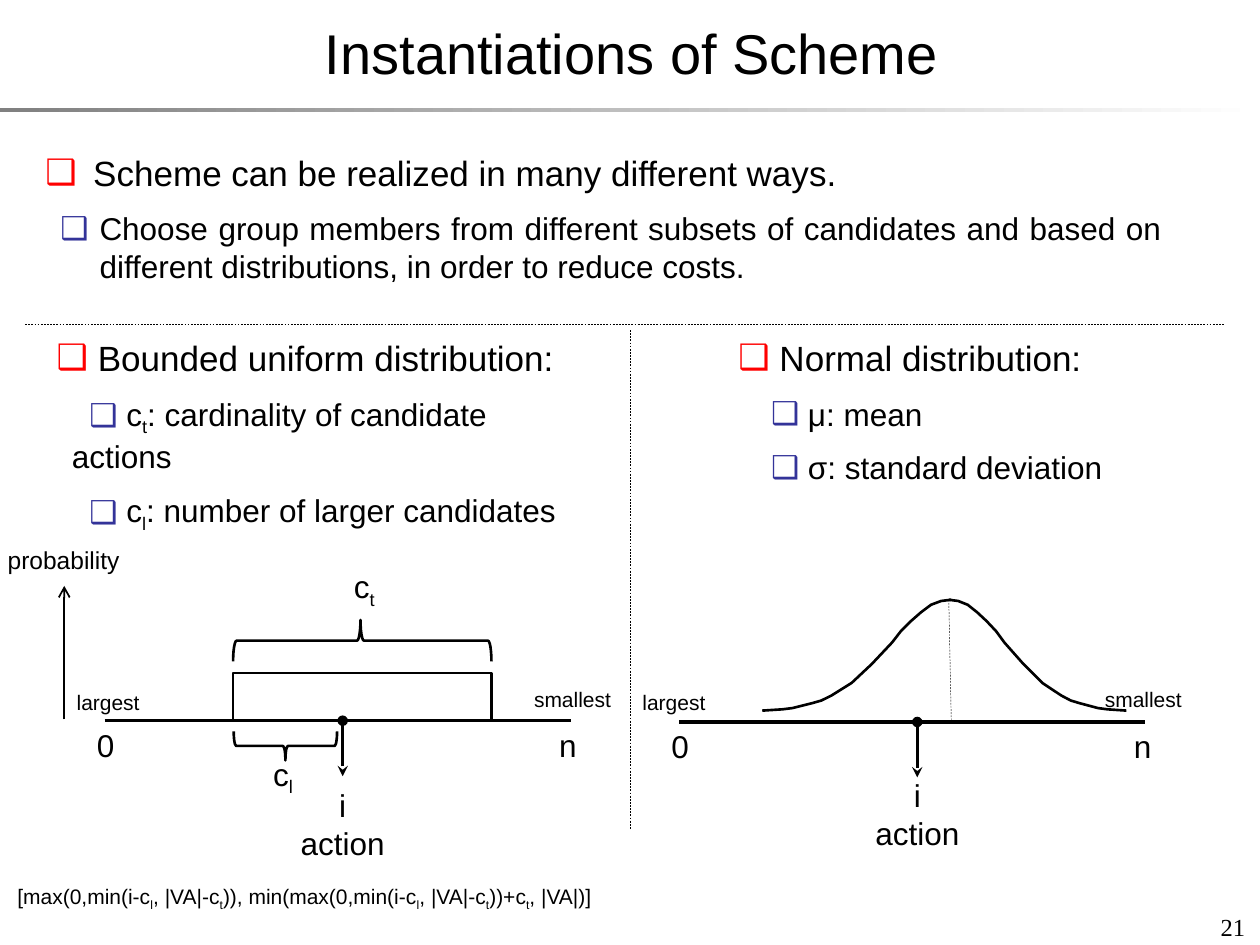
from lxml import etree
from pptx import Presentation
from pptx.dml.color import RGBColor
from pptx.enum.dml import MSO_LINE
from pptx.enum.shapes import MSO_CONNECTOR, MSO_SHAPE
from pptx.enum.text import MSO_ANCHOR, MSO_AUTO_SIZE, PP_ALIGN
from pptx.oxml.ns import qn
from pptx.util import Inches, Pt

LEFT, CENTER, RIGHT, JUSTIFY = PP_ALIGN.LEFT, PP_ALIGN.CENTER, PP_ALIGN.RIGHT, PP_ALIGN.JUSTIFY
TOP, MIDDLE = MSO_ANCHOR.TOP, MSO_ANCHOR.MIDDLE
STRAIGHT, DASH = MSO_CONNECTOR.STRAIGHT, MSO_LINE.DASH
RECTANGLE, LEFT_BRACE = MSO_SHAPE.RECTANGLE, MSO_SHAPE.LEFT_BRACE
BLACK, RED, BLUE = "000000", "FF0000", "333399"

# Left half of the bell curve, from its foot to its peak
BELL = [(6.05, 5.64), (6.21, 5.63), (6.29, 5.62), (6.37, 5.6), (6.45, 5.58), (6.52, 5.56),
        (6.6, 5.52), (6.76, 5.42), (6.92, 5.27), (7.08, 5.1), (7.15, 5.01), (7.23, 4.93),
        (7.31, 4.86), (7.39, 4.8), (7.47, 4.77), (7.55, 4.76)]


def color(value):
    return RGBColor.from_string(value)


def place(shape, left, top, width, height):
    shape.left, shape.top = Inches(left), Inches(top)
    shape.width, shape.height = Inches(width), Inches(height)


def add_runs(paragraph, text, size, font="Arial"):
    """Add text run by run; the letter after each underscore is a subscript."""
    first, *rest = text.split("_")
    pieces = [(first, False)]
    for part in rest:
        pieces += [(part[0], True), (part[1:], False)]
    for piece, subscript in pieces:
        if not piece:
            continue
        run = paragraph.add_run()
        run.text = piece
        run.font.size, run.font.name, run.font.bold = Pt(size), font, False
        run.font.color.rgb = color(BLACK)
        if subscript:
            run._r.get_or_add_rPr().set("baseline", "-25000")


def add_label(slide, box, lines, size, align=LEFT, wrap=False, anchor=TOP, font="Arial"):
    shape = slide.shapes.add_textbox(*map(Inches, box))
    frame = shape.text_frame
    frame.word_wrap, frame.vertical_anchor = wrap, anchor
    for index, line in enumerate(lines):
        paragraph = frame.add_paragraph() if index else frame.paragraphs[0]
        paragraph.alignment = align
        add_runs(paragraph, line, size, font)


def set_bullet(paragraph, bullet_color, margin, indent):
    properties = paragraph._p.get_or_add_pPr()
    properties.set("marL", str(Inches(margin)))
    properties.set("indent", str(Inches(indent)))
    fill = etree.SubElement(properties, qn("a:buClr"))
    etree.SubElement(fill, qn("a:srgbClr"), val=bullet_color)
    etree.SubElement(properties, qn("a:buChar"), char="❑")


def fill_list(placeholder, box, heading, items, heading_indent, item_indent, align=LEFT):
    place(placeholder, *box)
    frame = placeholder.text_frame
    frame.auto_size, frame.word_wrap = MSO_AUTO_SIZE.NONE, True
    frame.vertical_anchor = TOP
    for index, text in enumerate([heading, *items]):
        paragraph = frame.add_paragraph() if index else frame.paragraphs[0]
        paragraph.level = 1 if index else 0
        paragraph.alignment = align
        paragraph.space_before = Pt(9.2 if index else 0)
        if index:
            set_bullet(paragraph, BLUE, *item_indent)
        else:
            set_bullet(paragraph, RED, *heading_indent)
        add_runs(paragraph, text, 18 if index else 20)


def add_line(slide, start, end, width, dash=None, head=None, tail=None):
    line = slide.shapes.add_connector(STRAIGHT, *map(Inches, (*start, *end)))
    line.line.color.rgb = color(BLACK)
    line.line.width = Pt(width)
    if dash:
        line.line.dash_style = dash
    outline = line.line._get_or_add_ln()
    for tag, kind in (("a:headEnd", head), ("a:tailEnd", tail)):
        if kind:
            etree.SubElement(outline, qn(tag), type=kind)
    etree.SubElement(line._element.spPr, qn("a:effectLst"))


def outline_only(shape):
    shape.shadow.inherit = False
    shape.fill.background()
    shape.line.color.rgb = color(BLACK)
    shape.line.width = Pt(1.5)


def add_outline(slide, kind, box, rotation=0):
    shape = slide.shapes.add_shape(kind, *map(Inches, box))
    shape.rotation = rotation
    outline_only(shape)
    return shape


def add_curve(slide, points):
    start, *rest = [(Inches(x), Inches(y)) for x, y in points]
    builder = slide.shapes.build_freeform(*start)
    builder.add_line_segments(rest, close=False)
    outline_only(builder.convert_to_shape())


def add_axis(slide, left, top, action_top, largest_left, smallest_left):
    """Number line from 0 to n, with an arrow at the action i."""
    action = left + 1.89
    add_line(slide, (left, top), (left + 3.7, top), 2)
    add_label(slide, (left - 0.16, top - 0.01, 0.34, 0.4), ["0"], 18)
    add_label(slide, (left + 3.51, top - 0.01, 0.34, 0.4), ["n"], 18)
    add_line(slide, (action, top + 0.44), (action, top), 2, head="stealth", tail="oval")
    add_label(slide, (action - 0.44, action_top, 0.88, 0.71), ["i", "action"], 18, CENTER)
    add_label(slide, (largest_left, 5.42, 0.71, 0.3), ["largest"], 12)
    add_label(slide, (smallest_left, 5.4, 0.82, 0.3), ["smallest"], 12)


def add_header(slide):
    bar = slide.shapes.add_shape(RECTANGLE, *map(Inches, (0, 0.86, 10, 0.03)))
    bar.shadow.inherit = False
    bar.line.fill.background()
    bar.fill.gradient()
    bar.fill.gradient_angle = 0
    for stop, value in zip(bar.fill.gradient_stops, ("808080", "FFFFFF")):
        stop.color.rgb = color(value)
    title = slide.shapes.title
    place(title, 0.03, 0, 9.97, 0.83)
    title.text_frame.vertical_anchor = MIDDLE
    paragraph = title.text_frame.paragraphs[0]
    paragraph.alignment = CENTER
    add_runs(paragraph, "Instantiations of Scheme", 32)


def add_lists(slide):
    bodies = {shape.placeholder_format.idx: shape for shape in slide.placeholders}
    fill_list(bodies[1], (0.26, 1.15, 9.06, 1.18),
              "Scheme can be realized in many different ways.",
              ["Choose group members from different subsets of candidates and based on "
               "different distributions, in order to reduce costs."],
              (0.38, -0.38), (0.43, -0.31), JUSTIFY)
    fill_list(bodies[2], (0.35, 2.62, 4.41, 1.45), " Bounded uniform distribution:",
              [" c_t: cardinality of candidate actions", " c_l: number of larger candidates"],
              (0, 0), (0.12, 0.14))
    fill_list(bodies[4], (5.76, 2.62, 3.73, 1.45), " Normal distribution:",
              [" μ: mean", " σ: standard deviation"], (0, 0), (0.12, 0.14))
    unused = bodies[3]._element
    unused.getparent().remove(unused)


def add_uniform_diagram(slide):
    add_axis(slide, 0.83, 5.72, 6.19, 0.51, 4.14)
    add_outline(slide, RECTANGLE, (1.85, 5.34, 2.05, 0.38))
    add_outline(slide, LEFT_BRACE, (2.15, 5.51, 0.23, 0.82), 270)
    add_label(slide, (2.07, 5.94, 0.36, 0.4), ["c_l"], 18)
    upper_brace = add_outline(slide, LEFT_BRACE, (2.71, 4.06, 0.33, 2.05), 90)
    upper_brace.adjustments[1] = 0.507
    add_label(slide, (2.71, 4.45, 0.38, 0.4), ["c_t"], 18)
    # Probability axis
    add_line(slide, (0.51, 5.71), (0.51, 4.65), 1, tail="arrow")
    add_label(slide, (-0.04, 4.28, 1.09, 0.34), ["probability"], 14, CENTER)


def add_normal_diagram(slide):
    add_axis(slide, 5.39, 5.73, 6.11, 5, 8.67)
    add_curve(slide, BELL)
    # The right half mirrors the left one and is slightly narrower
    add_curve(slide, [(7.53 + (7.55 - x) * 0.94, y) for x, y in BELL])
    add_line(slide, (7.53, 4.76), (7.55, 5.73), 0.25, DASH)


def main():
    presentation = Presentation()
    presentation.slide_width, presentation.slide_height = Inches(10), Inches(7.5)
    slide = presentation.slides.add_slide(presentation.slide_layouts.get_by_name("Comparison"))
    add_header(slide)
    add_lists(slide)
    # Dividers between the three parts
    add_line(slide, (0.2, 2.57), (9.72, 2.57), 0.25, DASH)
    add_line(slide, (5, 2.62), (5, 6.58), 0.25, DASH)
    add_uniform_diagram(slide)
    add_normal_diagram(slide)
    # Formula and page number
    formula = "[max(0,min(i-c_l, |VA|-c_t)), min(max(0,min(i-c_l, |VA|-c_t))+c_t, |VA|)]"
    add_label(slide, (0.04, 6.96, 4.96, 0.3), [formula], 12, wrap=True)
    add_label(slide, (7.65, 7.18, 2.33, 0.35), ["21"], 14, RIGHT, True, MIDDLE, "Times New Roman")
    presentation.save("out.pptx")


if __name__ == "__main__":
    main()
